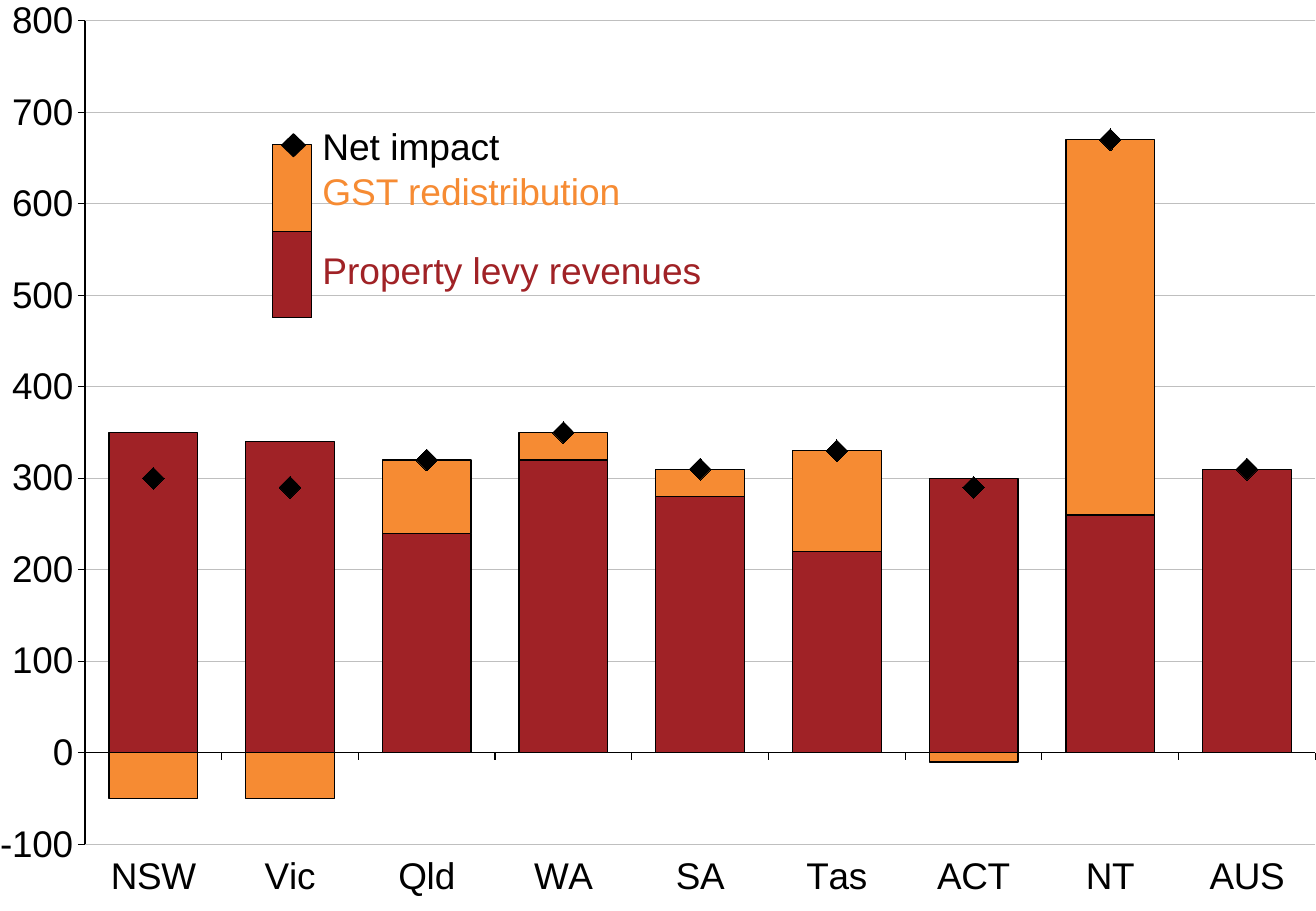
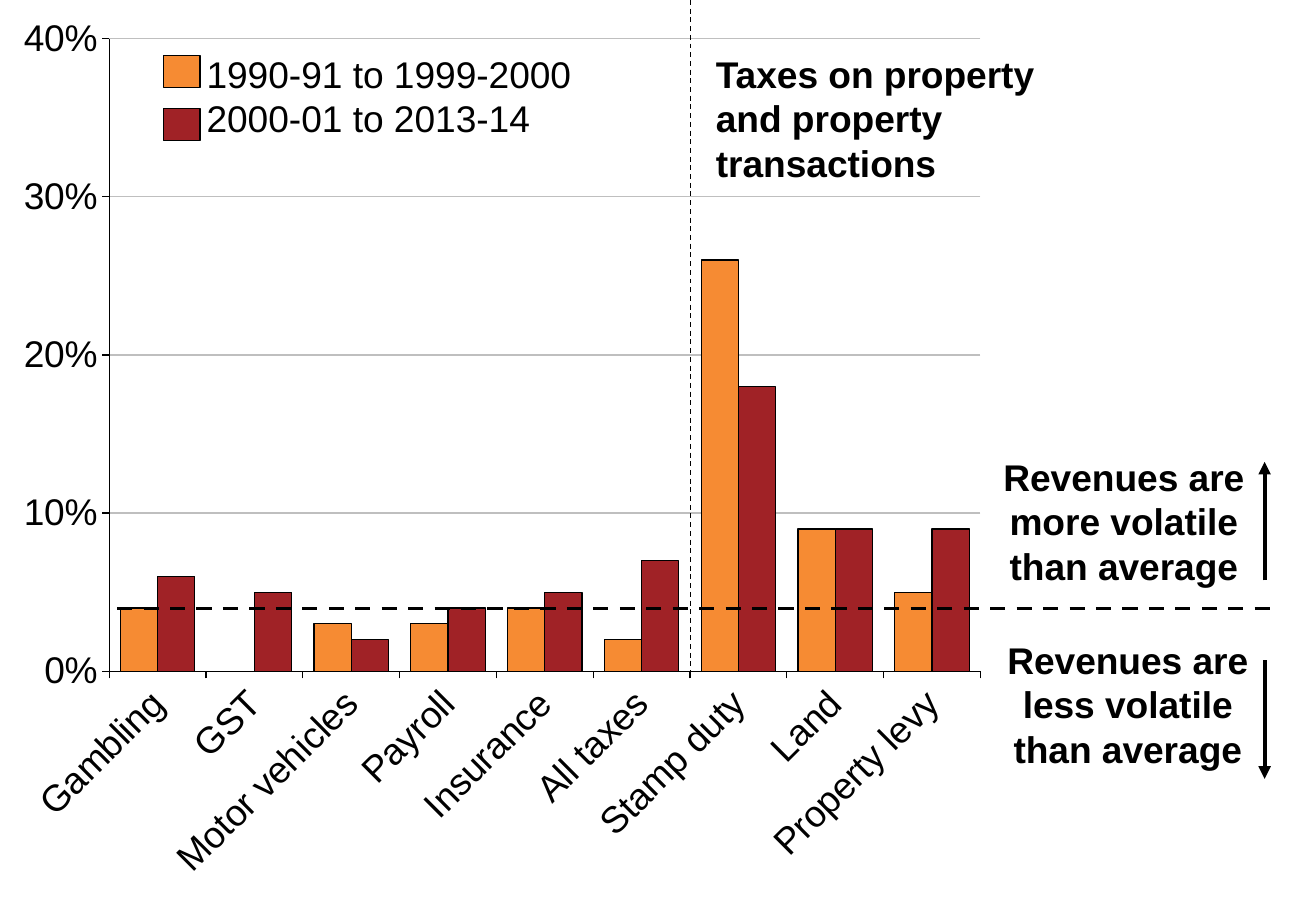
from pptx import Presentation, util as u
from pptx.chart.data import CategoryChartData
from pptx.dml.color import RGBColor
from pptx.enum import chart as ch, dml, shapes, text
from pptx.oxml import parse_xml
from pptx.oxml.ns import nsdecls, qn

W, H = 10.83, 7.5
FONT, SIZE = "Arial", 22
COLORS = {k: RGBColor.from_string(v) for k, v in {
    "red": "A02226", "orange": "F68B33", "black": "000000", "grid": "BFBFBF"}.items()}
FULL = (0, 0, 100, 100)


# Boxes and points are in percent of the slide's width and height
def across(x):
    return u.Inches(W * x / 100)


def down(y):
    return u.Inches(H * y / 100)


def place(x, y, w, h):
    return across(x), down(y), across(w), down(h)


def within(box, x, y, w, h):
    return box[0] + x, box[1] + y, w, h


def set_all(obj, **values):
    for name, value in values.items():
        setattr(obj, name, value)


def style_font(font, color="black", size=SIZE, bold=False):
    set_all(font, name=FONT, size=u.Pt(size), bold=bold)
    font.color.rgb = COLORS[color]


def style_line(line, color="black", width=0.75):
    line.color.rgb = COLORS[color]
    line.width = u.Pt(width)


def add_text(slide, box, lines, color="black", bold=False,
             align=text.PP_ALIGN.LEFT, inset=(0, 0)):
    tf = slide.shapes.add_textbox(*place(*box)).text_frame
    dx, dy = map(u.Inches, inset)
    set_all(tf, word_wrap=True, margin_left=dx, margin_right=dx,
            margin_top=dy, margin_bottom=dy)
    for i, line in enumerate(lines):
        p = tf.paragraphs[0] if i == 0 else tf.add_paragraph()
        p.alignment = align
        r = p.add_run()
        r.text = line
        style_font(r.font, color, bold=bold)


def add_mark(slide, box, color, kind=shapes.MSO_SHAPE.RECTANGLE):
    sp = slide.shapes.add_shape(kind, *place(*box))
    sp.shadow.inherit = False
    sp.fill.solid()
    sp.fill.fore_color.rgb = COLORS[color]
    style_line(sp.line)


def add_line(slide, start, end, width, dash=False, arrow=False):
    cx = slide.shapes.add_connector(
        shapes.MSO_CONNECTOR.STRAIGHT, across(start[0]), down(start[1]),
        across(end[0]), down(end[1]))
    style_line(cx.line, width=width)
    if dash:
        cx.line.dash_style = dml.MSO_LINE.DASH
    sp_pr = cx._element.spPr
    if arrow:
        sp_pr.find(qn("a:ln")).append(
            parse_xml(f'<a:tailEnd {nsdecls("a")} type="triangle"/>'))
    sp_pr.append(parse_xml(f'<a:effectLst {nsdecls("a")}/>'))


# Charts
def set_plot_area(chart, x, y, w, h):
    area = chart._chartSpace.chart.plotArea
    for old in area.findall(qn("c:layout")):
        area.remove(old)
    sizes = "".join(f'<c:{tag} val="{value / 100:.3f}"/>'
                    for tag, value in zip("xywh", (x, y, w, h)))
    area.insert(0, parse_xml(
        f'<c:layout {nsdecls("c")}><c:manualLayout><c:layoutTarget val="inner"/>'
        f'<c:xMode val="edge"/><c:yMode val="edge"/>{sizes}'
        '</c:manualLayout></c:layout>'))


def add_columns(slide, box, kind, cats, values, colors, plot_area, gap, overlap,
                scale, number_format):
    data = CategoryChartData()
    data.categories = cats
    for i, vals in enumerate(values, 1):
        data.add_series(f"Series {i}", vals)
    chart = slide.shapes.add_chart(kind, *place(*box), data).chart
    set_all(chart, has_title=False, has_legend=False)
    style_font(chart.font)
    set_plot_area(chart, *plot_area)

    plot = chart.plots[0]
    set_all(plot, gap_width=gap, overlap=overlap, vary_by_categories=False)
    for s, color in zip(plot.series, colors):
        s.invert_if_negative = False
        s.format.fill.solid()
        s.format.fill.fore_color.rgb = COLORS[color]
        style_line(s.format.line)

    cat, val = chart.category_axis, chart.value_axis
    for axis in (cat, val):
        set_all(axis, major_tick_mark=ch.XL_TICK_MARK.OUTSIDE,
                minor_tick_mark=ch.XL_TICK_MARK.NONE)
        style_line(axis.format.line)
        style_font(axis.tick_labels.font)
    cat.tick_label_position = ch.XL_TICK_LABEL_POSITION.LOW
    low, high, step = scale
    set_all(val, minimum_scale=low, maximum_scale=high, major_unit=step,
            has_major_gridlines=True)
    style_line(val.major_gridlines.format.line, "grid")
    set_all(val.tick_labels, number_format=number_format,
            number_format_is_linked=False)
    return chart


def last_series_to_markers(chart):
    bars = chart.plots[0]._element
    ser = bars.findall(qn("c:ser"))[-1]
    for flag in ser.findall(qn("c:invertIfNegative")):
        ser.remove(flag)
    line_chart = parse_xml(
        f'<c:lineChart {nsdecls("c")}><c:grouping val="standard"/>'
        '<c:varyColors val="0"/><c:marker val="1"/></c:lineChart>')
    line_chart.insert(2, ser)
    for ax in bars.findall(qn("c:axId")):
        line_chart.append(parse_xml(
            f'<c:axId {nsdecls("c")} val="{ax.get("val")}"/>'))
    bars.addnext(line_chart)
    s = chart.plots[1].series[0]
    s.smooth = False
    s.format.line.fill.background()
    set_all(s.marker, style=ch.XL_MARKER_STYLE.DIAMOND, size=13)
    s.marker.format.fill.solid()
    s.marker.format.fill.fore_color.rgb = COLORS["black"]
    style_line(s.marker.format.line)


# Slide 1: levy revenues and redistribution by state
def stacked_key(slide, box):
    for i, color in enumerate(("orange", "red")):
        add_mark(slide, within(box, 0, 2.4 + 9.5 * i, 3, 9.5), color)
    add_mark(slide, within(box, 0.7, 1.2, 1.8, 2.5), "black",
             shapes.MSO_SHAPE.DIAMOND)
    for y, label, color in ((0, "Net impact", "black"),
                            (5, "GST redistribution", "orange"),
                            (13.7, "Property levy revenues", "red")):
        add_text(slide, within(box, 3.8, y, 30.6, 4.9), [label], color)


def state_slide(slide, box):
    chart = add_columns(
        slide, box, ch.XL_CHART_TYPE.COLUMN_STACKED,
        ["NSW", "Vic", "Qld", "WA", "SA", "Tas", "ACT", "NT", "AUS"],
        [[350, 340, 240, 320, 280, 220, 300, 260, 310],
         [-50, -50, 80, 30, 30, 110, -10, 410, 0],
         [300, 290, 320, 350, 310, 330, 290, 670, 310]],
        ("red", "orange"), (5.9, 2.3, 94.1, 90.4), 54, 100,
        (-100, 800, 100), "#,##0")
    last_series_to_markers(chart)
    stacked_key(slide, within(box, 20.7, 13.5, 34.4, 18.6))


# Slide 2: volatility of revenues by tax
def period_key(slide, box):
    for i, color in enumerate(("orange", "red")):
        add_mark(slide, within(box, 0, 0.5 + 5.8 * i, 2.8, 3.5), color)
    add_text(slide, within(box, 3.3, 0, 34.2, 9.9),
             ["1990-91 to 1999-2000", "2000-01 to 2013-14"])


def volatility_note(slide, box, label, arrow_from, arrow_to):
    add_text(slide, box, [label], bold=True, align=text.PP_ALIGN.CENTER,
             inset=(0.1, 0.05))
    add_line(slide, (96.1, box[1] + arrow_from), (96.1, box[1] + arrow_to), 2.5,
             arrow=True)


def volatility_slide(slide, box):
    chart = add_columns(
        slide, within(box, 0.3, 0, 100, 98.8), ch.XL_CHART_TYPE.COLUMN_CLUSTERED,
        ["Gambling", "GST", "Motor vehicles", "Payroll", "Insurance",
         "All taxes", "Stamp duty", "Land", "Property levy"],
        [[0.04, None, 0.03, 0.03, 0.04, 0.02, 0.26, 0.09, 0.05],
         [0.06, 0.05, 0.02, 0.04, 0.05, 0.07, 0.18, 0.09, 0.09]],
        ("orange", "red"), (8, 4.3, 66.2, 70.3), 60, 0, (0, 0.4, 0.1), "0%")
    labels = chart.category_axis._element.find(qn("c:txPr"))
    labels.find(qn("a:bodyPr")).set("rot", str(-45 * 60000))

    # Average level, and the divide before the property taxes
    add_line(slide, (8.9, 66.8), (97.2, 66.8), 2.25, dash=True)
    add_line(slide, (52.5, 0), (52.5, 73.7), 0.75, dash=True)

    volatility_note(slide, within(box, 74.7, 49.2, 21.4, 16.1),
                    "Revenues are more volatile than average", 14.5, 1.5)
    volatility_note(slide, within(box, 75, 69.3, 21.4, 16.1),
                    "Revenues are less volatile than average", 3.2, 16.2)
    period_key(slide, within(box, 12.4, 5.6, 37.5, 9.9))
    add_text(slide, within(box, 54.4, 5.6, 27.1, 14.8),
             ["Taxes on property and property transactions"], bold=True)


def main():
    prs = Presentation()
    set_all(prs, slide_width=u.Inches(W), slide_height=u.Inches(H))
    for build in (state_slide, volatility_slide):
        build(prs.slides.add_slide(prs.slide_layouts[6]), FULL)
    prs.save("out.pptx")


if __name__ == "__main__":
    main()
